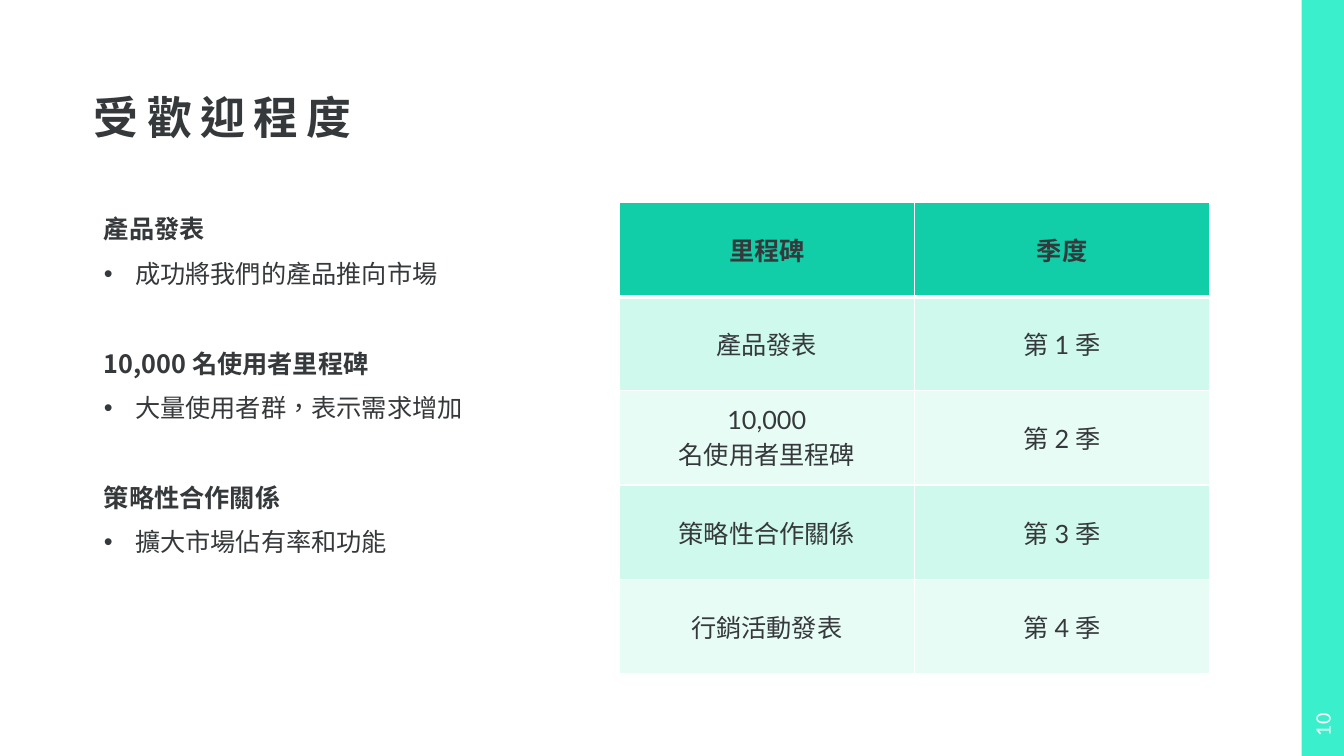
from pptx import Presentation
from pptx.dml.color import RGBColor
from pptx.enum.shapes import MSO_SHAPE
from pptx.enum.text import MSO_ANCHOR, MSO_AUTO_SIZE, PP_ALIGN
from pptx.oxml import parse_xml
from pptx.oxml.ns import nsdecls
from pptx.util import Inches, Pt

INK = RGBColor(0x36, 0x39, 0x3B)
WHITE = RGBColor(0xFF, 0xFF, 0xFF)
BAR = RGBColor(0x3A, 0xEF, 0xCC)
HEADER = RGBColor(0x11, 0xCE, 0xA9)
BANDS = [RGBColor(0xCE, 0xF9, 0xEC), RGBColor(0xE8, 0xFC, 0xF6)]
CJK = "Noto Sans CJK TC"

WIDTH, HEIGHT = 13.33, 7.5
LEFT, RIGHT, TOP, DEPTH = 0.93, 12, 2.01, 4.67
BAR_WIDTH = 0.42


def style(para, face, size, bold=False, color=INK, spacing=0):
    for span in para.runs:
        for name, value in {"name": face, "size": Pt(size), "bold": bold}.items():
            setattr(span.font, name, value)
        span.font.color.rgb = color
        props = span.font._element
        props.set("lang", "zh-TW")
        props.set("spc", str(spacing * 100))
        props.find("{*}latin").addnext(
            parse_xml(f'<a:ea {nsdecls("a")} typeface="{CJK}"/>'))


def place(shape, left, top, width, height):
    for name, value in zip(("left", "top", "width", "height"),
                           (left, top, width, height)):
        setattr(shape, name, Inches(value))


deck = Presentation()
deck.slide_width, deck.slide_height = Inches(WIDTH), Inches(HEIGHT)
page = deck.slides.add_slide(deck.slide_layouts[1])
title, body = page.placeholders

# Accent bar on the right edge
bar = page.shapes.add_shape(MSO_SHAPE.RECTANGLE, Inches(WIDTH - BAR_WIDTH), 0,
                            Inches(BAR_WIDTH), Inches(HEIGHT))
bar.shadow.inherit = False
bar.fill.solid()
bar.fill.fore_color.rgb = BAR
bar.line.fill.background()

# Title
place(title, LEFT, 0, RIGHT - LEFT, 1.43)
frame = title.text_frame
for name, value in {"margin_left": 0, "margin_right": 0, "margin_top": 0,
                    "margin_bottom": 0, "vertical_anchor": MSO_ANCHOR.BOTTOM,
                    "auto_size": MSO_AUTO_SIZE.NONE}.items():
    setattr(frame, name, value)
frame.text = "受歡迎程度"
para = frame.paragraphs[0]
para.alignment, para.line_spacing = PP_ALIGN.LEFT, 0.9
style(para, CJK, 32, bold=True, spacing=6)

# Milestone list: bold headings, each with one bullet
milestones = [
    ("產品發表", "成功將我們的產品推向市場"),
    ("10,000 名使用者里程碑", "大量使用者群，表示需求增加"),
    ("策略性合作關係", "擴大市場佔有率和功能"),
]
place(body, LEFT, TOP, 4.31, DEPTH)
frame = body.text_frame
frame.auto_size = MSO_AUTO_SIZE.NONE
frame.text = "\n".join(line for pair in milestones for line in pair)
for index, para in enumerate(frame.paragraphs):
    is_heading = index % 2 == 0
    indent = 0 if is_heading else Inches(0.31)
    props = para._p.get_or_add_pPr()
    props.set("marL", str(indent))
    props.set("indent", str(-indent))
    bullet = "<a:buNone {}/>" if is_heading else '<a:buChar {} char="•"/>'
    props.append(parse_xml(bullet.format(nsdecls("a"))))
    for name, value in {"alignment": PP_ALIGN.LEFT, "line_spacing": 1.2,
                        "space_before": Pt(32 if is_heading and index else 0),
                        "space_after": Pt(6)}.items():
        setattr(para, name, value)
    style(para, CJK, 18, bold=is_heading)

# Milestone table
rows = [
    ("里程碑", "季度"),
    ("產品發表", "第 1 季"),
    ("10,000\v名使用者里程碑", "第 2 季"),
    ("策略性合作關係", "第 3 季"),
    ("行銷活動發表", "第 4 季"),
]
table_width = 5.86
table = page.shapes.add_table(len(rows), 2, Inches(RIGHT - table_width), Inches(TOP),
                              Inches(table_width), Inches(DEPTH)).table
for row, texts in enumerate(rows):
    for column, text in enumerate(texts):
        cell = table.cell(row, column)
        cell.text = text
        cell.vertical_anchor = MSO_ANCHOR.MIDDLE
        para = cell.text_frame.paragraphs[0]
        para.alignment = PP_ALIGN.CENTER
        style(para, "Lato" if row else "Montserrat", 18, bold=row == 0)
        borders = {"lnL": 1, "lnR": 1, "lnT": 3 if row == 1 else 1,
                   "lnB": 1 if row else 3}
        for side, points in borders.items():
            cell._tc.get_or_add_tcPr().append(parse_xml(
                f'<a:{side} {nsdecls("a")} w="{Pt(points)}"><a:solidFill>'
                f'<a:srgbClr val="{WHITE}"/></a:solidFill></a:{side}>'))
        cell.fill.solid()
        cell.fill.fore_color.rgb = BANDS[(row - 1) % 2] if row else HEADER

# Page number, turned to read upwards
number = page.shapes.add_textbox(Inches(12.81), Inches(6.98),
                                 Inches(0.62), Inches(BAR_WIDTH))
number.rotation = 270
frame = number.text_frame
frame.word_wrap = True
frame.vertical_anchor = MSO_ANCHOR.MIDDLE
frame.text = "10"
frame.paragraphs[0].alignment = PP_ALIGN.CENTER
style(frame.paragraphs[0], "Lato", 14, color=WHITE)

deck.save("out.pptx")
